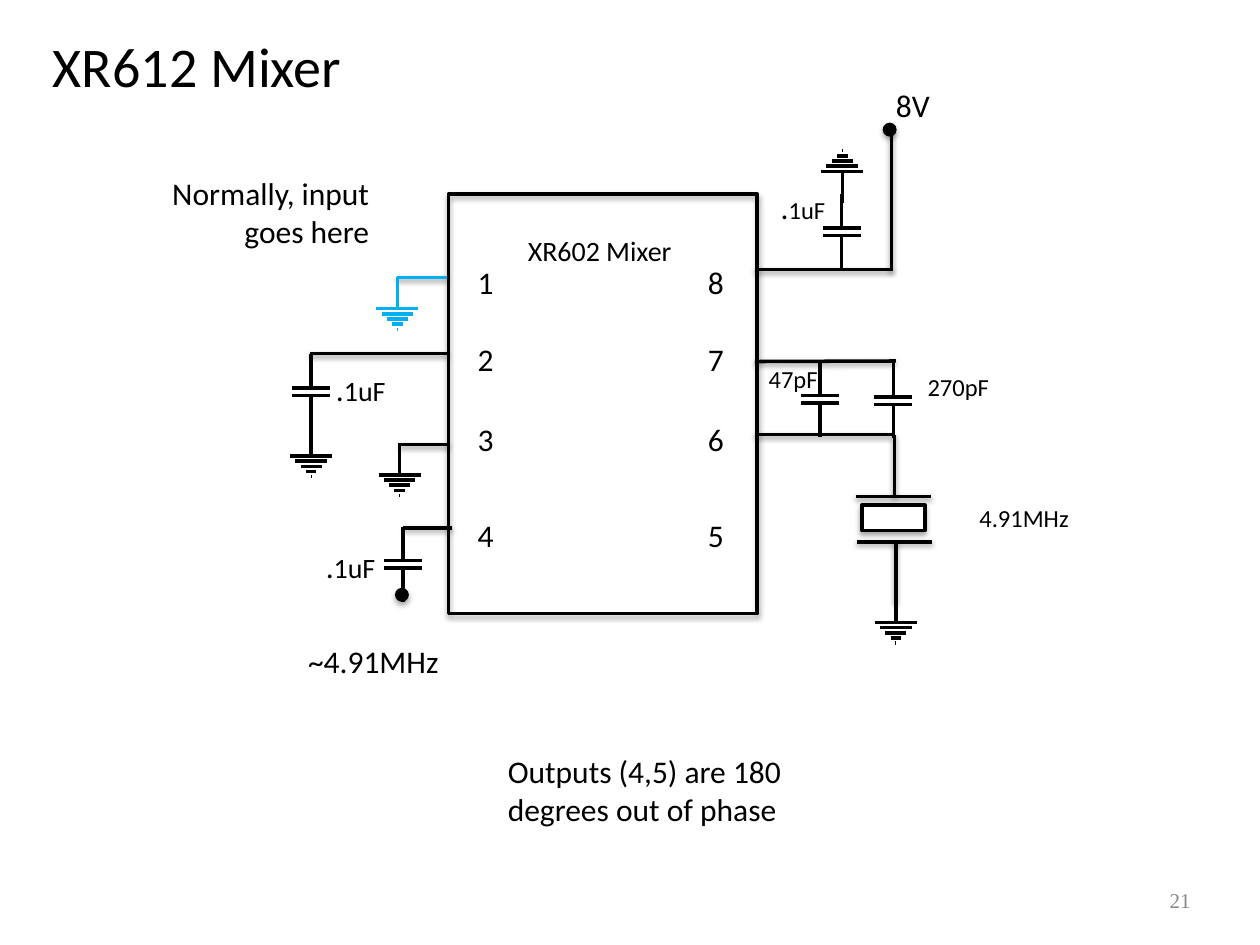
from lxml import etree
from pptx import Presentation
from pptx.dml.color import RGBColor
from pptx.enum.shapes import MSO_CONNECTOR, MSO_SHAPE
from pptx.enum.text import MSO_ANCHOR, MSO_AUTO_SIZE, PP_ALIGN
from pptx.oxml.ns import qn
from pptx.util import Pt

STRAIGHT = MSO_CONNECTOR.STRAIGHT
RECTANGLE, OVAL = MSO_SHAPE.RECTANGLE, MSO_SHAPE.OVAL
LEFT, RIGHT = PP_ALIGN.LEFT, PP_ALIGN.RIGHT
TOP, MIDDLE = MSO_ANCHOR.TOP, MSO_ANCHOR.MIDDLE
FIT = MSO_AUTO_SIZE.SHAPE_TO_FIT_TEXT

COLORS = {"ink": "000000", "input": "00B0F0", "paper": "FFFFFF", "number": "888888"}
FONT, NUMBER_FONT = "Calibri", "Times New Roman"
LINE_WIDTH = 2
SHAPE_SHADOW = (1.8, 35)  # distance, opacity in percent
WIRE_SHADOW = (1.6, 38)

# Content: all positions in points
CHIP = (256.3, 110.9, 176.4, 239.8)
PIN_SIZE = (54.7, 28.8)
PIN_ROWS = [("1", "8", 146.9), ("2", "7", 190.8), ("3", "6", 236.2), ("4", "5", 291.2)]
PIN_LEFTS = (269.3, 362.5)

# Wires: x1, y1, x2, y2, colour
WIRES = [
    (431.3, 154.1, 510.5, 154.1, "ink"),
    (509.4, 74.2, 509.4, 154.8, "ink"),
    (431.3, 206.6, 511.9, 206.3, "ink"),
    (431.3, 248.4, 510.5, 248.4, "ink"),
    (177.1, 202.1, 256.3, 202.1, "ink"),
    (228.2, 254, 257, 254, "ink"),
    (230.4, 301.7, 258.5, 301.7, "ink"),
    (226.8, 158.6, 255.6, 158.6, "input"),
]
TERMINALS = [(508.4, 74.1), (229.7, 339.9)]  # centres
TERMINAL_SIZE = 7.2

# Capacitors: centre x, top y
CAPACITORS = [(177.8, 202.3), (230.4, 301), (481, 110.9), (468.7, 206.6), (510.5, 207.4)]
CAPACITOR_LEAD, CAPACITOR_GAP, PLATE_HALF = 19.4, 4.3, 10.8

# Grounds: centre x, start of lead, direction (1 down, -1 up), colour
GROUNDS = [
    (511.9, 337.7, 1, "ink"),
    (481.3, 115.9, -1, "ink"),
    (228.4, 253.4, 1, "ink"),
    (177.8, 242.6, 1, "ink"),
    (227.1, 158.4, 1, "input"),
]
GROUND_LEAD, BAR_PITCH = 18, 2.95
BAR_HALVES = [12, 9, 6, 3, 0.3]

CRYSTAL_BODY = (492.5, 288.7, 36, 14.4)
CRYSTAL_LINES = [
    (511.2, 283.7, 511.2, 248.4),
    (488.9, 283.7, 532.1, 283.7),
    (489.6, 309.6, 532.8, 309.6),
    (511.9, 344.2, 511.9, 308.9),
]

# Labels: left, top, width, height, alignment, runs of (text, size)
LABELS = [
    (480.2, 45.4, 54.7, 28.8, RIGHT, [("8V", 18)]),
    (420.5, 103.7, 54.7, 28.8, RIGHT, [(".", 18), ("1uF", 14)]),
    (163.4, 308.9, 54.7, 28.8, RIGHT, [(".", 18), ("1uF", 16)]),
    (169.2, 208.1, 54.7, 28.8, RIGHT, [(".", 18), ("1uF", 16)]),
    (427.7, 204.5, 43.2, 24.5, RIGHT, [("47pF", 14)]),
    (514.1, 208.8, 54.7, 24.5, RIGHT, [("270pF", 14)]),
    (545.8, 283.9, 68.6, 24.5, RIGHT, [("4.91MHz", 14)]),
    (168.5, 363.6, 85.7, 28.8, RIGHT, [("~4.91MHz", 18)]),
    (82.8, 95.8, 131.8, 51.1, RIGHT, [("Normally, input goes here", 18)]),
    (286.6, 426.2, 175.7, 51.1, LEFT, [("Outputs (4,5) are 180 degrees out of phase", 18)]),
]
HEADINGS = [
    (30.2, 18, 166.3, 38.9, LEFT, [("XR612 Mixer", 32)]),
    (301.7, 133.2, 83.5, 19.4, LEFT, [("XR602 Mixer", 16)]),
]
PAGE_NUMBER = (516.2, 504, 167.8, 20.9, RIGHT, [("21", 12)])


def rgb(name):
    return RGBColor.from_string(COLORS[name])


def set_shadow(shape, shadow):
    properties = shape._element.spPr
    effects = etree.SubElement(properties, qn("a:effectLst"))
    if shadow:
        distance, opacity = shadow
        outer = etree.SubElement(effects, qn("a:outerShdw"), blurRad=str(Pt(3)),
                                 dist=str(Pt(distance)), dir="5400000", rotWithShape="0")
        color = etree.SubElement(outer, qn("a:srgbClr"), val=COLORS["ink"])
        etree.SubElement(color, qn("a:alpha"), val=str(opacity * 1000))


def add_line(shapes, ends, color="ink", shadow=None):
    line = shapes.add_connector(STRAIGHT, *(Pt(value) for value in ends))
    line.line.color.rgb = rgb(color)
    line.line.width = Pt(LINE_WIDTH)
    set_shadow(line, shadow)


def add_outline(shapes, kind, frame, fill=None, width=LINE_WIDTH):
    shape = shapes.add_shape(kind, *(Pt(value) for value in frame))
    if fill:
        shape.fill.solid()
        shape.fill.fore_color.rgb = rgb(fill)
    else:
        shape.fill.background()
    shape.line.color.rgb = rgb("ink")
    shape.line.width = Pt(width)
    set_shadow(shape, SHAPE_SHADOW)


def add_text(page, label, inset=3.6, wrap=True, anchor=TOP, font=FONT, color="ink"):
    *frame, alignment, spans = label
    box = page.shapes.add_textbox(*(Pt(value) for value in frame))
    text = box.text_frame
    text.margin_left = text.margin_right = text.margin_top = text.margin_bottom = Pt(inset)
    text.word_wrap = wrap
    text.auto_size = FIT
    text.vertical_anchor = anchor
    para = text.paragraphs[0]
    para.alignment = alignment
    para.font.name = font
    para.font.color.rgb = rgb(color)
    para.font.size = Pt(spans[0][1])
    for words, size in spans:
        span = para.add_run()
        span.text = words
        if size != spans[0][1]:
            span.font.size = Pt(size)


def add_capacitor(page, x, top):
    shapes = page.shapes.add_group_shape().shapes
    upper = top + CAPACITOR_LEAD
    lower = upper + CAPACITOR_GAP
    add_line(shapes, (x, top, x, upper))
    add_line(shapes, (x, lower, x, lower + CAPACITOR_LEAD))
    for y in (upper, lower):
        add_line(shapes, (x - PLATE_HALF, y, x + PLATE_HALF, y))


def add_ground(page, x, start, direction, color):
    shapes = page.shapes.add_group_shape().shapes
    first = start + direction * GROUND_LEAD
    add_line(shapes, (x, start, x, first), color)
    for index, half in enumerate(BAR_HALVES):
        y = first + direction * index * BAR_PITCH
        add_line(shapes, (x - half, y, x + half, y), color)


def main():
    deck = Presentation()
    deck.slide_width, deck.slide_height = Pt(720), Pt(540)
    page = deck.slides.add_slide(deck.slide_layouts[6])

    # Chip with its pins
    for heading in HEADINGS:
        add_text(page, heading, inset=0, wrap=False)
    add_outline(page.shapes, RECTANGLE, CHIP)
    for left_pin, right_pin, top in PIN_ROWS:
        for pin, left, alignment in zip((left_pin, right_pin), PIN_LEFTS, (LEFT, RIGHT)):
            add_text(page, (left, top, *PIN_SIZE, alignment, [(pin, 18)]))

    # Circuit around the chip
    for *ends, color in WIRES:
        add_line(page.shapes, ends, color, WIRE_SHADOW)
    for x, y in TERMINALS:
        corner = (x - TERMINAL_SIZE / 2, y - TERMINAL_SIZE / 2)
        add_outline(page.shapes, OVAL, (*corner, TERMINAL_SIZE, TERMINAL_SIZE), "ink", 0.75)
    for capacitor in CAPACITORS:
        add_capacitor(page, *capacitor)
    for ground in GROUNDS:
        add_ground(page, *ground)

    # Crystal
    crystal = page.shapes.add_group_shape().shapes
    for ends in CRYSTAL_LINES:
        add_line(crystal, ends, shadow=WIRE_SHADOW)
    add_outline(crystal, RECTANGLE, CRYSTAL_BODY, "paper")

    # Labels and page number
    for label in LABELS:
        add_text(page, label)
    add_text(page, PAGE_NUMBER, anchor=MIDDLE, font=NUMBER_FONT, color="number")

    deck.save("out.pptx")


if __name__ == "__main__":
    main()
